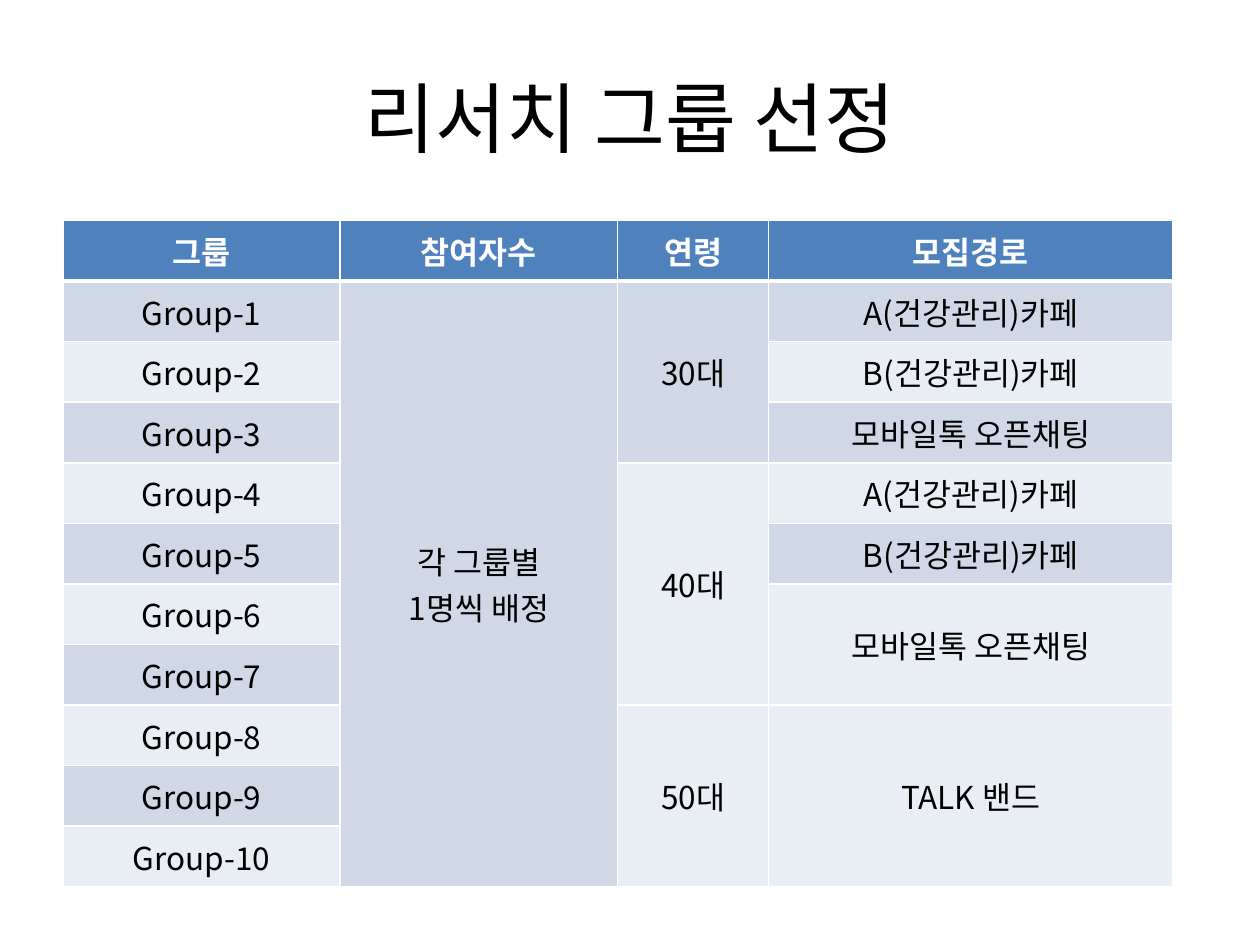
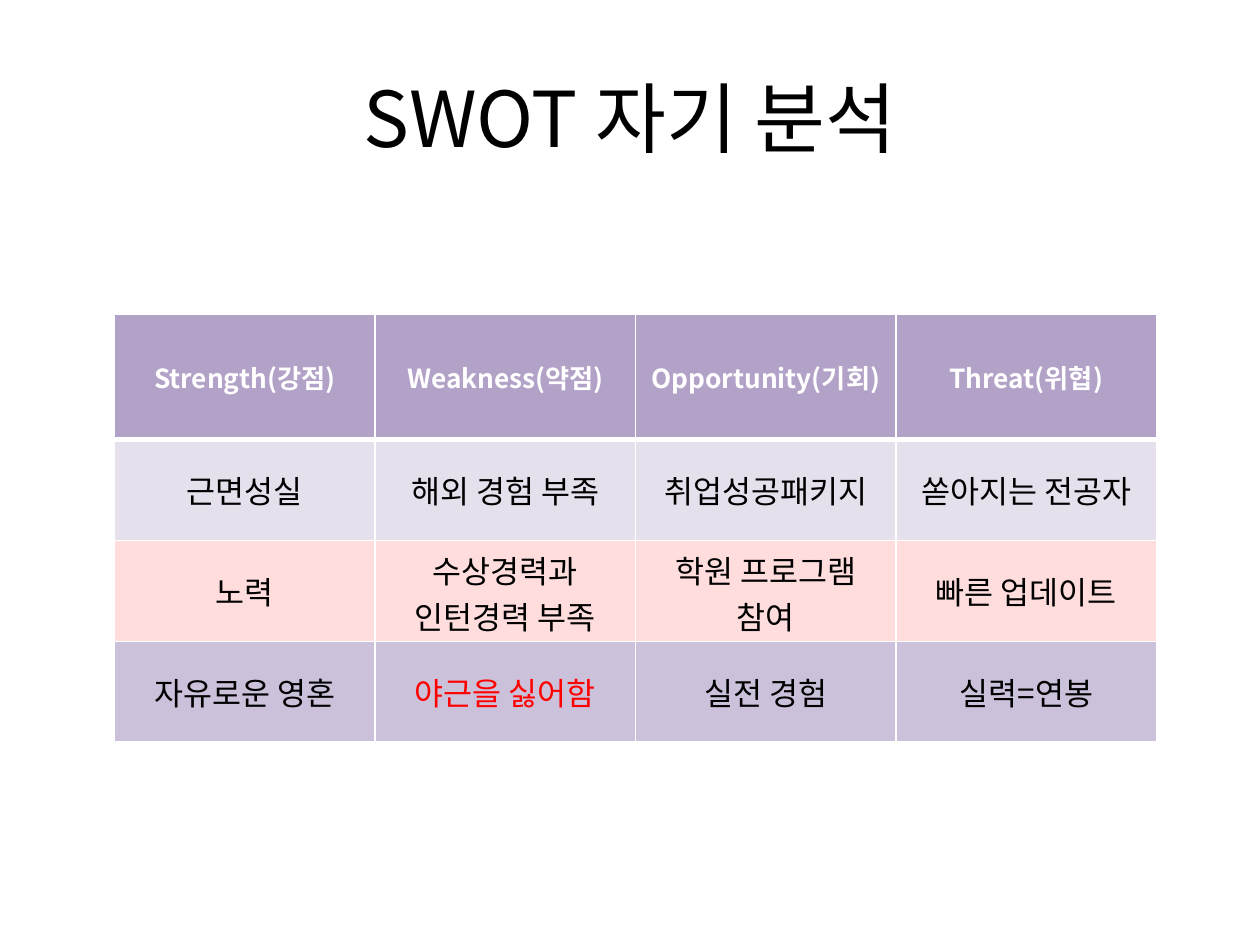
from itertools import cycle

from lxml.etree import SubElement
from pptx import Presentation
from pptx.dml.color import RGBColor
from pptx.enum.text import MSO_ANCHOR as Anchor, PP_ALIGN as Align
from pptx.oxml.ns import qn
from pptx.util import Inches, Pt

FONT = "Noto Sans CJK KR"
BLACK, WHITE, RED = "000000", "FFFFFF", "FF0000"
BLUE, BLUE_BANDS = "4F81BD", ("D0D8E8", "E9EDF4")
PURPLE, PURPLE_BANDS = "B3A2C7", ("E6E0EC", "FFDDDD", "CCC1DA")


def rgb(value):
    """Turn a hex string into a colour."""
    return RGBColor.from_string(value)


def write(frame, text, size=18, color=BLACK, bold=False):
    """Fill a text frame with centred paragraphs, one for each line."""
    frame.word_wrap = True
    for index, line in enumerate(text.split("\n")):
        paragraph = frame.add_paragraph() if index else frame.paragraphs[0]
        paragraph.alignment = Align.CENTER
        run = paragraph.add_run()
        run.text = line
        run.font.size = Pt(size)
        run.font.bold = bold
        run.font.color.rgb = rgb(color)
        run.font.name = FONT
        SubElement(run.font._element, qn("a:ea"), typeface=FONT)


def outline(cell, **widths):
    """Draw white borders on a cell; widths override one point by side."""
    properties = cell._tc.get_or_add_tcPr()
    for side in "LRTB":
        line = SubElement(properties, qn(f"a:ln{side}"), w=str(Pt(widths.get(side, 1))))
        fill = SubElement(line, qn("a:solidFill"))
        SubElement(fill, qn("a:srgbClr"), val=WHITE)


class Deck:
    """Hold the shared style and the current slide."""

    def __init__(self):
        """Start an empty 10 by 7.5 inch deck."""
        self.presentation = Presentation()
        self.presentation.slide_width = Inches(10)
        self.presentation.slide_height = Inches(7.5)
        self.slide = None

    def add_slide(self, title):
        """Add a blank slide with the shared title."""
        self.slide = self.presentation.slides.add_slide(self.presentation.slide_layouts[6])
        box = self.slide.shapes.add_textbox(Inches(0.5), Inches(0.3), Inches(9), Inches(1.25))
        box.text_frame.vertical_anchor = Anchor.MIDDLE
        write(box.text_frame, title, size=44)

    def add_table(self, rows, left, top, widths, heights, header, bands,
                  header_size=18, accents=()):
        """Add a banded table where None continues the cell above it."""
        table = self.slide.shapes.add_table(
            len(rows), len(widths), Inches(left), Inches(top),
            Inches(sum(widths)), Inches(sum(heights))).table
        table.first_row = table.horz_banding = False
        for column, width in zip(table.columns, widths):
            column.width = Inches(width)
        for row, height in zip(table.rows, heights):
            row.height = Inches(height)

        band = cycle(bands)
        for r, texts in enumerate(rows):
            fill = next(band) if r else header
            for c, text in enumerate(texts):
                cell = table.cell(r, c)
                outline(cell, **({"T": 3} if r == 1 else {} if r else {"B": 3}))
                cell.fill.solid()
                cell.fill.fore_color.rgb = rgb(fill)
                if text is None:
                    continue
                cell.vertical_anchor = Anchor.MIDDLE
                if r:
                    write(cell.text_frame, text, color=RED if text in accents else BLACK)
                else:
                    write(cell.text_frame, text, size=header_size, color=WHITE, bold=True)
        self.merge_down(table, rows)

    def merge_down(self, table, rows):
        """Merge each cell with the None entries below it."""
        for c, column in enumerate(zip(*rows)):
            starts = [r for r, text in enumerate(column) if text is not None]
            for start, end in zip(starts, starts[1:] + [len(rows)]):
                if end - start > 1:
                    table.cell(start, c).merge(table.cell(end - 1, c))


def main():
    """Build and save both slides."""
    deck = Deck()

    deck.add_slide("리서치 그룹 선정")
    participants = {1: "각 그룹별\n1명씩 배정"}
    ages = {1: "30대", 4: "40대", 8: "50대"}
    channels = {1: "A(건강관리)카페", 2: "B(건강관리)카페", 3: "모바일톡 오픈채팅",
                4: "A(건강관리)카페", 5: "B(건강관리)카페", 6: "모바일톡 오픈채팅",
                8: "TALK 밴드"}
    groups = [("그룹", "참여자수", "연령", "모집경로")]
    groups += [(f"Group-{n}", participants.get(n), ages.get(n), channels.get(n))
               for n in range(1, 11)]
    deck.add_table(groups, 0.5, 1.75, [2.2, 2.2, 1.2, 3.21], [5.29 / 11] * 11,
                   BLUE, BLUE_BANDS)

    deck.add_slide("SWOT 자기 분석")
    swot = [
        ("Strength(강점)", "Weakness(약점)", "Opportunity(기회)", "Threat(위협)"),
        ("근면성실", "해외 경험 부족", "취업성공패키지", "쏟아지는 전공자"),
        ("노력", "수상경력과 인턴경력 부족", "학원 프로그램 참여", "빠른 업데이트"),
        ("자유로운 영혼", "야근을 싫어함", "실전 경험", "실력=연봉"),
    ]
    deck.add_table(swot, 0.91, 2.49, [8.27 / 4] * 4, [1] + [0.8] * 3,
                   PURPLE, PURPLE_BANDS, header_size=15, accents=("야근을 싫어함",))

    deck.presentation.save("out.pptx")


if __name__ == "__main__":
    main()
